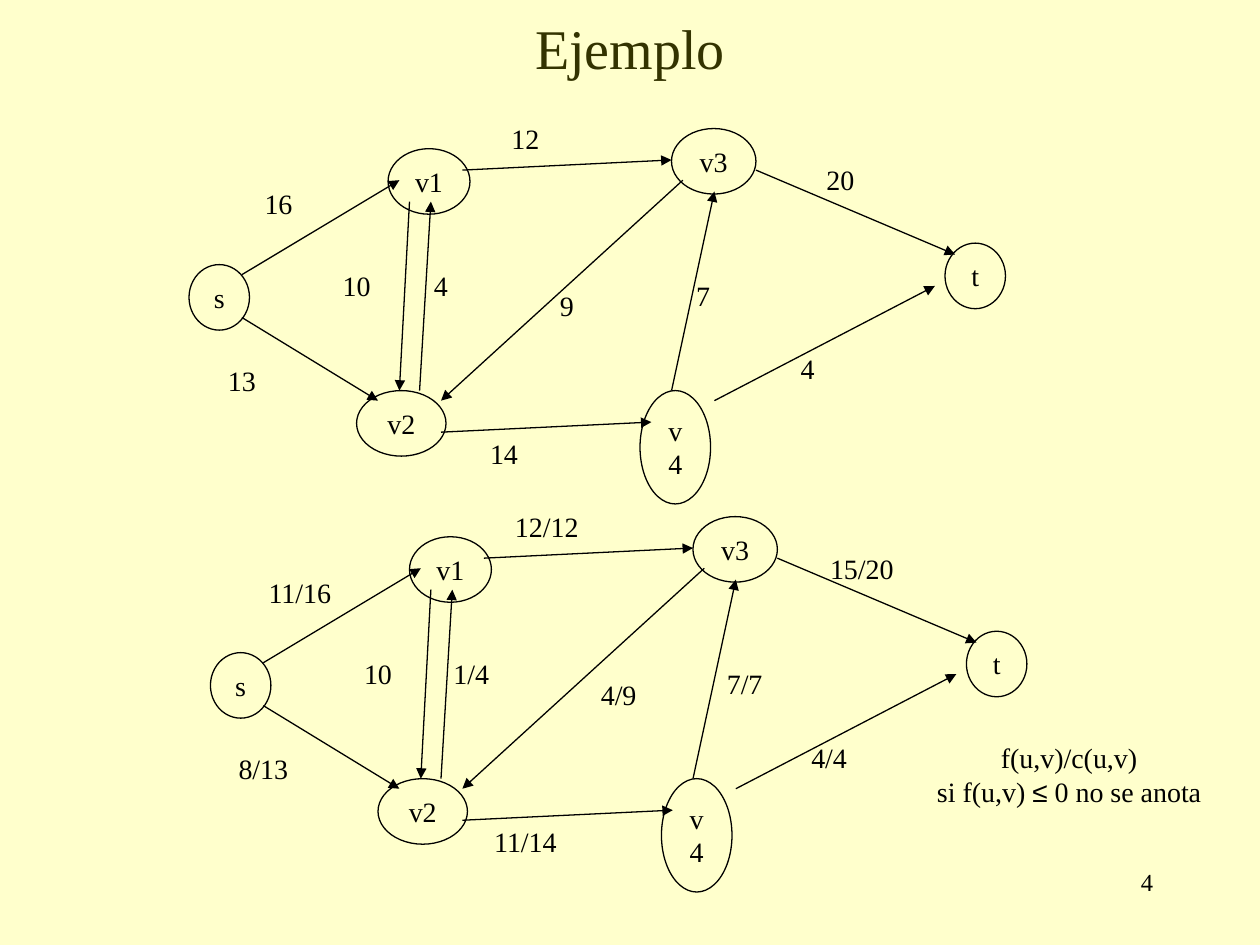
from dataclasses import dataclass
from lxml import etree
from pptx import Presentation
from pptx.dml.color import RGBColor
from pptx.enum.shapes import MSO_CONNECTOR as Line, MSO_SHAPE as Shape
from pptx.enum.text import MSO_ANCHOR as Anchor, MSO_AUTO_SIZE as Fit, PP_ALIGN as Align
from pptx.oxml.ns import qn
from pptx.util import Inches, Pt


@dataclass(frozen=True)
class Theme:
    back: RGBColor = RGBColor(0xFF, 0xFF, 0xCC)
    head: RGBColor = RGBColor(0x33, 0x33, 0x00)
    ink: RGBColor = RGBColor(0, 0, 0)
    font: str = "Times New Roman"
    sign: str = "Arial"
    big: int = 32
    body: int = 16
    small: int = 14
    rule: float = 0.75


theme = Theme()

# Content: lengths in inches, measured in the upper network
title = "Ejemplo"
page = "4"
nodes = [  # name, left, top, width, height
    ("s", 1.5, 2.1, 0.48, 0.52),
    ("v1", 3.08, 1.18, 0.65, 0.52),
    ("v3", 5.33, 1.02, 0.67, 0.52),
    ("t", 7.5, 1.93, 0.48, 0.52),
    ("v2", 2.83, 3.1, 0.71, 0.52),
    ("v4", 5.08, 3.1, 0.56, 0.9),
]
edges = [  # start, end, label centre, capacity, flow, label shift with flow
    ((1.92, 2.18), (3.17, 1.43), (2.21, 1.62), 16, 11, 0),
    ((1.92, 2.52), (3, 3.18), (1.92, 3.02), 13, 8, 0),
    ((3.25, 1.6), (3.17, 3.1), (2.83, 2.27), 10, 0, 0),
    ((3.33, 3.1), (3.42, 1.6), (3.5, 2.27), 4, 1, 0.07),
    ((3.67, 1.35), (5.33, 1.27), (4.17, 1.1), 12, 12, 0),
    ((5.42, 1.43), (3.5, 3.18), (4.5, 2.43), 9, 4, 0.24),
    ((3.5, 3.43), (5.17, 3.35), (4, 3.6), 14, 11, 0),
    ((5.33, 3.1), (5.67, 1.52), (5.58, 2.35), 7, 7, 0.16),
    ((6, 1.35), (7.58, 2.02), (6.67, 1.43), 20, 15, 0),
    ((5.67, 3.18), (7.42, 2.27), (6.41, 2.93), 4, 4, 0),
]
nets = [((0, 0), False), ((0.17, 3.08), True)]  # offset, with flow
note = [["f(u,v)/c(u,v)"], ["si f(u,v) ", "≤", " 0 no se anota"]]


def style(para, size=theme.body, color=theme.ink, align=Align.CENTER):
    para.alignment = align
    font = para.font
    font.name, font.size, font.color.rgb = theme.font, Pt(size), color


def add_text(shapes, rows, left, top, wide, high):
    """Each row is one paragraph, given as a list of its runs."""
    box = shapes.add_textbox(*map(Inches, (left, top, wide, high)))
    frame = box.text_frame
    frame.word_wrap, frame.auto_size = False, Fit.SHAPE_TO_FIT_TEXT
    for i, row in enumerate(rows):
        para = frame.add_paragraph() if i else frame.paragraphs[0]
        style(para)
        for part in row:
            run = para.add_run()
            run.text = part
            if part == "≤":
                run.font.name = theme.sign
    return frame


def add_node(shapes, name, left, top, wide, high):
    node = shapes.add_shape(Shape.OVAL, *map(Inches, (left, top, wide, high)))
    node.shadow.inherit = False
    node.fill.background()
    node.line.color.rgb, node.line.width = theme.ink, Pt(theme.rule)
    frame = node.text_frame
    frame.text = name
    frame.word_wrap, frame.auto_size = True, Fit.SHAPE_TO_FIT_TEXT
    frame.vertical_anchor = Anchor.TOP
    style(frame.paragraphs[0])
    frame.paragraphs[0].space_before = Pt(10)


def add_arrow(shapes, start, end):
    arrow = shapes.add_connector(Line.STRAIGHT, *map(Inches, (*start, *end)))
    arrow.line.color.rgb, arrow.line.width = theme.ink, Pt(theme.rule)
    tip = etree.SubElement(arrow.line._get_or_add_ln(), qn("a:tailEnd"))
    tip.set("type", "triangle")
    etree.SubElement(arrow._element.spPr, qn("a:effectLst"))


def add_label(shapes, text, mid):
    # Side insets with a little slack, plus the width of each character
    wide = 0.22 + sum(0.07 if mark == "/" else 0.11 for mark in text)
    high = 0.37
    add_text(shapes, [[text]], mid[0] - wide / 2, mid[1] - high / 2, wide, high)


def add_net(shapes, shift, flows):
    def move(point):
        return point[0] + shift[0], point[1] + shift[1]

    for name, left, top, wide, high in nodes:
        add_node(shapes, name, *move((left, top)), wide, high)
    for start, end, *_ in edges:
        add_arrow(shapes, move(start), move(end))
    for _, _, (x, y), most, flow, step in edges:
        text = f"{flow}/{most}" if flows and flow else str(most)
        add_label(shapes, text, move((x + step * flows, y)))


def main():
    deck = Presentation()
    deck.slide_width, deck.slide_height = Inches(10), Inches(7.5)
    slide = deck.slides.add_slide(deck.slide_layouts[5])
    slide.background.fill.solid()
    slide.background.fill.fore_color.rgb = theme.back

    # Title
    head = slide.shapes.title
    head.left, head.top, head.width, head.height = map(Inches, (0.75, 0, 8.5, 0.75))
    head.text_frame.text = title
    head.text_frame.vertical_anchor = Anchor.MIDDLE
    style(head.text_frame.paragraphs[0], theme.big, theme.head)

    # Two networks: capacities alone, then flow over capacity
    for shift, flows in nets:
        add_net(slide.shapes.add_group_shape().shapes, shift, flows)

    # Note on the notation
    add_text(slide.shapes, note, 7.31, 5.83, 2.35, 0.64)

    # Page number
    frame = add_text(slide.shapes, [[page]], 7.17, 6.83, 2.08, 0.5)
    frame.word_wrap, frame.auto_size = True, Fit.NONE
    style(frame.paragraphs[0], theme.small, align=Align.RIGHT)

    deck.save("out.pptx")


if __name__ == "__main__":
    main()
